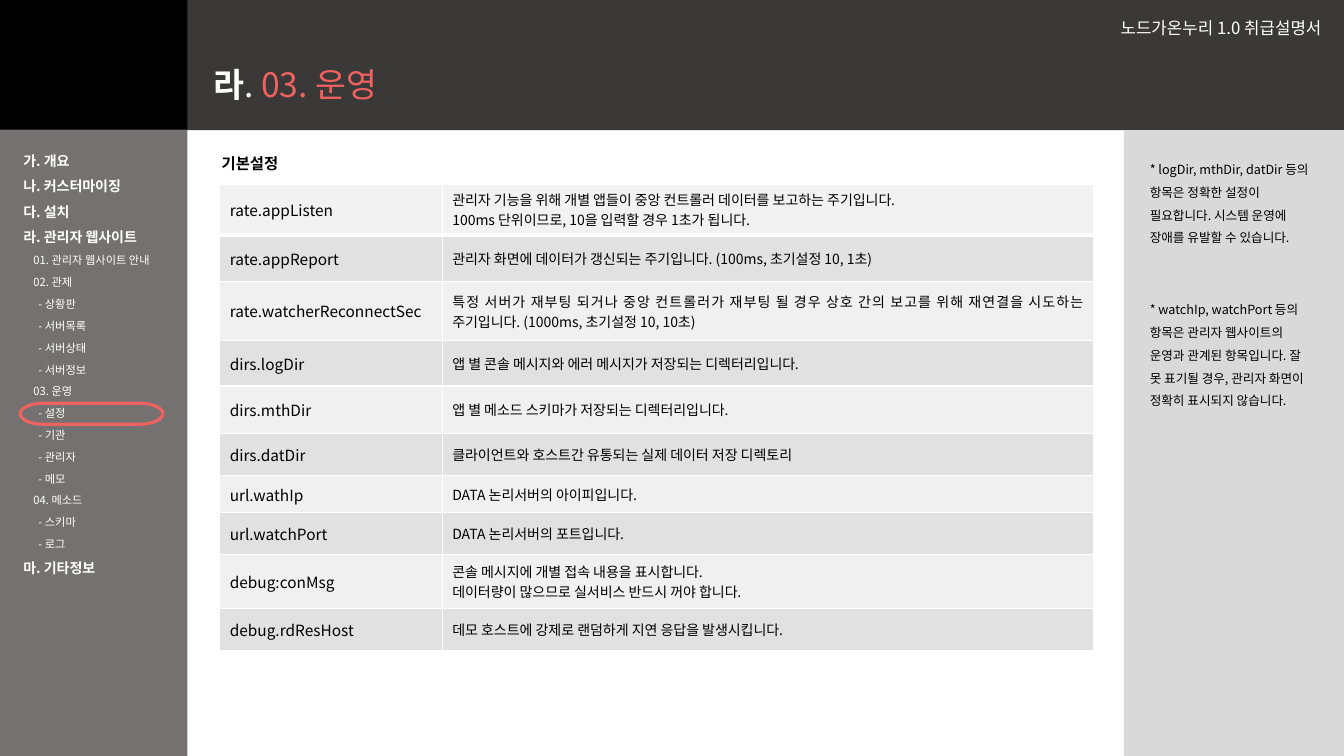
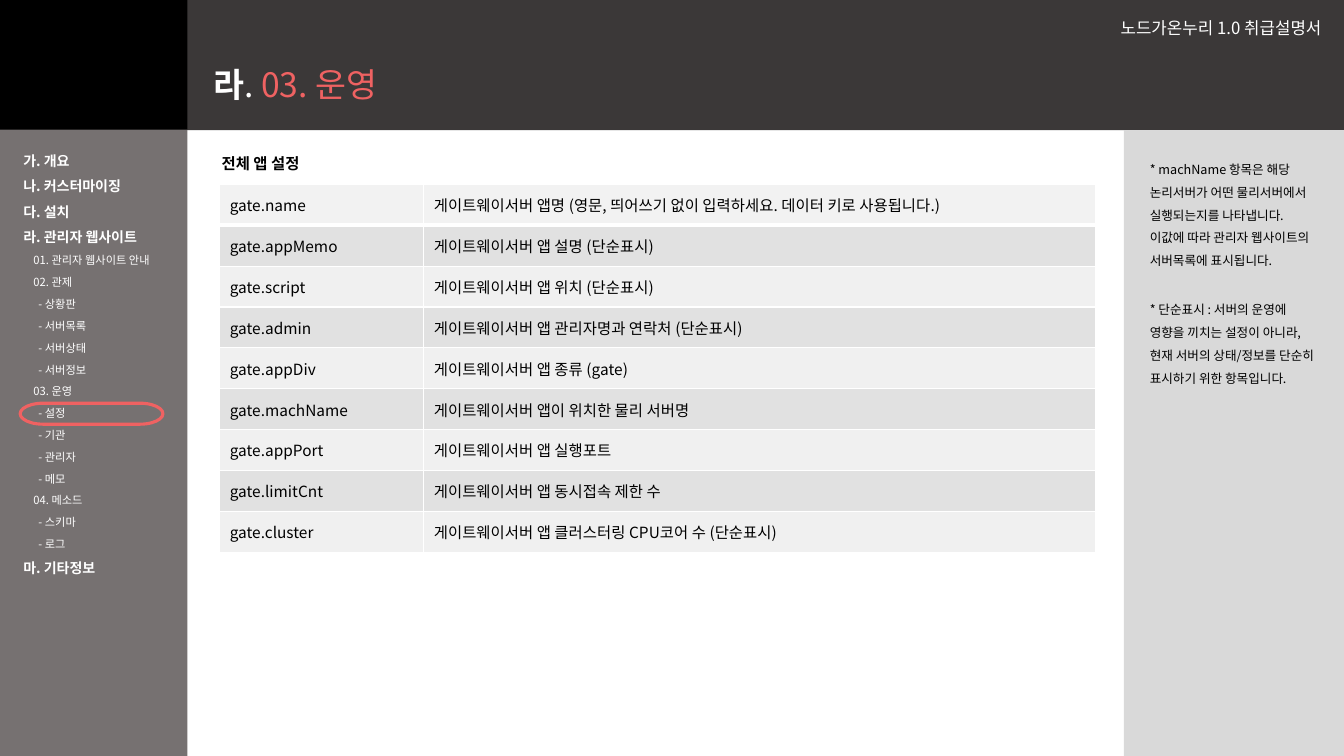
from dataclasses import dataclass

from lxml import etree
from pptx import Presentation
from pptx.dml.color import RGBColor
from pptx.enum.shapes import MSO_SHAPE
from pptx.enum.text import MSO_ANCHOR, MSO_AUTO_SIZE, PP_ALIGN
from pptx.oxml.ns import qn
from pptx.util import Emu, Inches, Pt

RECTANGLE, TERMINATOR = MSO_SHAPE.RECTANGLE, MSO_SHAPE.FLOWCHART_TERMINATOR
TOP, MIDDLE = MSO_ANCHOR.TOP, MSO_ANCHOR.MIDDLE
LEFT, RIGHT, JUSTIFY = PP_ALIGN.LEFT, PP_ALIGN.RIGHT, PP_ALIGN.JUSTIFY
TITLE_ONLY = 5


@dataclass(frozen=True)
class Theme:
    font: str = "Noto Sans CJK KR"
    white: str = "FFFFFF"
    black: str = "000000"
    accent: str = "EF6262"
    header: str = "3B3838"
    sidebar: str = "767171"
    notes: str = "D9D9D9"
    first_row: str = "F2F2F2"
    odd_row: str = "E1E1E1"
    even_row: str = "F0F0F0"
    title_size: int = 24
    manual_size: int = 12
    text_size: int = 11
    small_size: int = 10
    note_size: int = 9
    sub_size: int = 8


theme = Theme()

# Grid: 160 columns by 90 rows; positions are (column, row, columns, rows)
deck = Presentation()
deck.slide_width, deck.slide_height = Inches(13.33), Inches(7.5)
COLUMN, ROW = deck.slide_width / 160, deck.slide_height / 90
HEADER_ROWS, SIDEBAR_COLUMNS, NOTES_COLUMN = 15.5, 22.3, 133.8

BANDS = [
    (theme.header, (0, 0, 160, HEADER_ROWS)),
    (theme.sidebar, (0, HEADER_ROWS, SIDEBAR_COLUMNS, 90 - HEADER_ROWS)),
    (theme.notes, (NOTES_COLUMN, HEADER_ROWS, 160 - NOTES_COLUMN, 90 - HEADER_ROWS)),
    (theme.black, (0, 0, SIDEBAR_COLUMNS, 15.4)),
]
TITLE_RUNS = [
    ("라", theme.white, True),
    (". ", theme.white, False),
    ("03. 운영", theme.accent, False),
]
MANUAL_NAME = "노드가온누리 1.0 취급설명서"
MENU = [
    (0, "가. 개요"),
    (0, "나. 커스터마이징"),
    (0, "다. 설치"),
    (0, "라. 관리자 웹사이트"),
    (1, "01. 관리자 웹사이트 안내"),
    (1, "02. 관제"),
    (2, "- 상황판"),
    (2, "- 서버목록"),
    (2, "- 서버상태"),
    (2, "- 서버정보"),
    (1, "03. 운영"),
    (2, "- 설정"),
    (2, "- 기관"),
    (2, "- 관리자"),
    (2, "- 메모"),
    (1, "04. 메소드"),
    (2, "- 스키마"),
    (2, "- 로그"),
    (0, "마. 기타정보"),
]
MENU_INDENTS = [0, 1.2, 1.8]

PAGES = [
    {
        "heading": "기본설정",
        "columns": [26.5, 77.5],
        "rows": [6, 5.6, 7, 5.4, 5.7, 5, 4.4, 5, 6.4, 5],
        "align": JUSTIFY,
        "detail_size": theme.small_size,
        "settings": [
            ("rate.appListen", "관리자 기능을 위해 개별 앱들이 중앙 컨트롤러 데이터를 보고하는 주기입니다.\n"
                               "100ms 단위이므로, 10을 입력할 경우 1초가 됩니다."),
            ("rate.appReport", "관리자 화면에 데이터가 갱신되는 주기입니다. (100ms, 초기설정 10, 1초)"),
            ("rate.watcherReconnectSec", "특정 서버가 재부팅 되거나 중앙 컨트롤러가 재부팅 될 경우 상호 간의 보고를 "
                                         "위해 재연결을 시도하는 주기입니다. (1000ms, 초기설정 10, 10초)"),
            ("dirs.logDir", "앱 별 콘솔 메시지와 에러 메시지가 저장되는 디렉터리입니다."),
            ("dirs.mthDir", "앱 별 메소드 스키마가 저장되는 디렉터리입니다."),
            ("dirs.datDir", "클라이언트와 호스트간 유통되는 실제 데이터 저장 디렉토리"),
            ("url.wathIp", "DATA 논리서버의 아이피입니다."),
            ("url.watchPort", "DATA 논리서버의 포트입니다."),
            ("debug:conMsg", "콘솔 메시지에 개별 접속 내용을 표시합니다.\n"
                             "데이터량이 많으므로 실서비스 반드시 꺼야 합니다."),
            ("debug.rdResHost", "데모 호스트에 강제로 랜덤하게 지연 응답을 발생시킵니다."),
        ],
        "notes": [
            "* logDir, mthDir, datDir 등의 항목은 정확한 설정이 필요합니다. 시스템 운영에 장애를 유발할 수 있습니다.",
            "* watchIp, watchPort 등의 항목은 관리자 웹사이트의 운영과 관계된 항목입니다. "
            "잘 못 표기될 경우, 관리자 화면이 정확히 표시되지 않습니다.",
        ],
    },
    {
        "heading": "전체 앱 설정",
        "columns": [24.3, 80],
        "rows": [4.87] * 9,
        "align": LEFT,
        "detail_size": theme.text_size,
        "settings": [
            ("gate.name", "게이트웨이서버 앱명 (영문, 띄어쓰기 없이 입력하세요. 데이터 키로 사용됩니다.)"),
            ("gate.appMemo", "게이트웨이서버 앱 설명 (단순표시)"),
            ("gate.script", "게이트웨이서버 앱 위치 (단순표시)"),
            ("gate.admin", "게이트웨이서버 앱 관리자명과 연락처 (단순표시)"),
            ("gate.appDiv", "게이트웨이서버 앱 종류 (gate)"),
            ("gate.machName", "게이트웨이서버 앱이 위치한 물리 서버명"),
            ("gate.appPort", "게이트웨이서버 앱 실행포트"),
            ("gate.limitCnt", "게이트웨이서버 앱 동시접속 제한 수"),
            ("gate.cluster", "게이트웨이서버 앱 클러스터링 CPU코어 수 (단순표시)"),
        ],
        "notes": [
            "* machName 항목은 해당 논리서버가 어떤 물리서버에서 실행되는지를 나타냅니다. "
            "이값에 따라 관리자 웹사이트의 서버목록에 표시됩니다.",
            "* 단순표시 : 서버의 운영에 영향을 끼치는 설정이 아니라, "
            "현재 서버의 상태/정보를 단순히 표시하기 위한 항목입니다.",
        ],
    },
]


def on_grid(column, row, columns, rows):
    return Emu(int(column * COLUMN)), Emu(int(row * ROW)), Emu(int(columns * COLUMN)), Emu(int(rows * ROW))


def write(frame, lines, align=LEFT, anchor=TOP, spacing=1.0, before=0, after=0):
    """Fill a frame; each line is (indent in columns, [(text, size, color, bold), ...])."""
    frame.word_wrap = True
    frame.vertical_anchor = anchor
    for number, (indent, runs) in enumerate(lines):
        para = frame.add_paragraph() if number else frame.paragraphs[0]
        para.alignment, para.line_spacing = align, spacing
        para.space_before, para.space_after = Pt(before if number else 0), Pt(after)
        if indent:
            para._p.get_or_add_pPr().set("marL", str(int(indent * COLUMN)))
        for text, size, color, bold in runs:
            span = para.add_run()
            span.text = text
            span.font.name, span.font.size, span.font.bold = theme.font, Pt(size), bold
            span.font.color.rgb = RGBColor.from_string(color)
            east_asian = etree.SubElement(span.font._element, qn("a:ea"))
            east_asian.set("typeface", theme.font)


for content in PAGES:
    page = deck.slides.add_slide(deck.slide_layouts[TITLE_ONLY])

    # Bands
    for color, place in BANDS:
        band = page.shapes.add_shape(RECTANGLE, *on_grid(*place))
        band.shadow.inherit = False
        band.fill.solid()
        band.fill.fore_color.rgb = RGBColor.from_string(color)
        band.line.fill.background()

    # Title, raised above the bands
    title = page.shapes.title
    title.element.getparent().append(title.element)
    title.left, title.top, title.width, title.height = on_grid(24.2, 6.4, 134, 7.8)
    title.text_frame.auto_size = MSO_AUTO_SIZE.NONE
    title_runs = [(text, theme.title_size, color, bold) for text, color, bold in TITLE_RUNS]
    write(title.text_frame, [(0, title_runs)], anchor=MIDDLE, spacing=0.9)

    # Manual name
    box = page.shapes.add_textbox(*on_grid(112.3, 1.6, 46.2, 3.7))
    write(box.text_frame, [(0, [(MANUAL_NAME, theme.manual_size, theme.white, False)])],
          RIGHT, MIDDLE, spacing=0.9)

    # Sidebar menu and the marker of the current entry
    box = page.shapes.add_textbox(*on_grid(1.6, 17.6, 19.8, 61))
    menu_lines = [
        (MENU_INDENTS[level],
         [(text, theme.sub_size if level else theme.small_size, theme.white, level == 0)])
        for level, text in MENU
    ]
    write(box.text_frame, menu_lines, JUSTIFY, before=6)
    marker = page.shapes.add_shape(TERMINATOR, *on_grid(2.4, 48, 17, 2.5))
    marker.shadow.inherit = False
    marker.fill.background()
    marker.line.color.rgb = RGBColor.from_string(theme.accent)
    marker.line.width = Pt(2.25)

    # Section heading
    box = page.shapes.add_textbox(*on_grid(25.2, 17.6, 107.6, 3.5))
    write(box.text_frame, [(0, [(content["heading"], theme.text_size, theme.black, True)])],
          JUSTIFY, spacing=1.07)

    # Settings table
    widths, heights = content["columns"], content["rows"]
    place = on_grid(26.15, 21.95, sum(widths), sum(heights))
    table = page.shapes.add_table(len(heights), len(widths), *place).table
    table.first_row = table.horz_banding = False
    for column, width in zip(table.columns, widths):
        column.width = Emu(int(width * COLUMN))
    for row_number, (row, height) in enumerate(zip(table.rows, heights)):
        row.height = Emu(int(height * ROW))
        row_color = theme.odd_row if row_number % 2 else theme.even_row
        if row_number == 0:
            row_color = theme.first_row
        sizes = (theme.text_size, content["detail_size"])
        for cell, text, size in zip(row.cells, content["settings"][row_number], sizes):
            lines = [(0, [(line, size, theme.black, False)]) for line in text.split("\n")]
            write(cell.text_frame, lines, content["align"])
            cell.vertical_anchor = MIDDLE
            properties = cell._tc.get_or_add_tcPr()
            for side in ("lnL", "lnR", "lnT", "lnB"):
                thick = (side, row_number) in (("lnB", 0), ("lnT", 1))
                border = etree.SubElement(properties, qn("a:" + side), w=str(Pt(3 if thick else 1)))
                paint = etree.SubElement(border, qn("a:solidFill"))
                etree.SubElement(paint, qn("a:srgbClr"), val=theme.white)
            cell.fill.solid()
            cell.fill.fore_color.rgb = RGBColor.from_string(row_color)

    # Side notes
    for note, top in zip(content["notes"], (17.8, 34.5)):
        box = page.shapes.add_textbox(*on_grid(135.7, top, 21.9, 15))
        write(box.text_frame, [(0, [(note, theme.note_size, theme.black, False)])], spacing=1.5, after=8)

deck.save("out.pptx")
